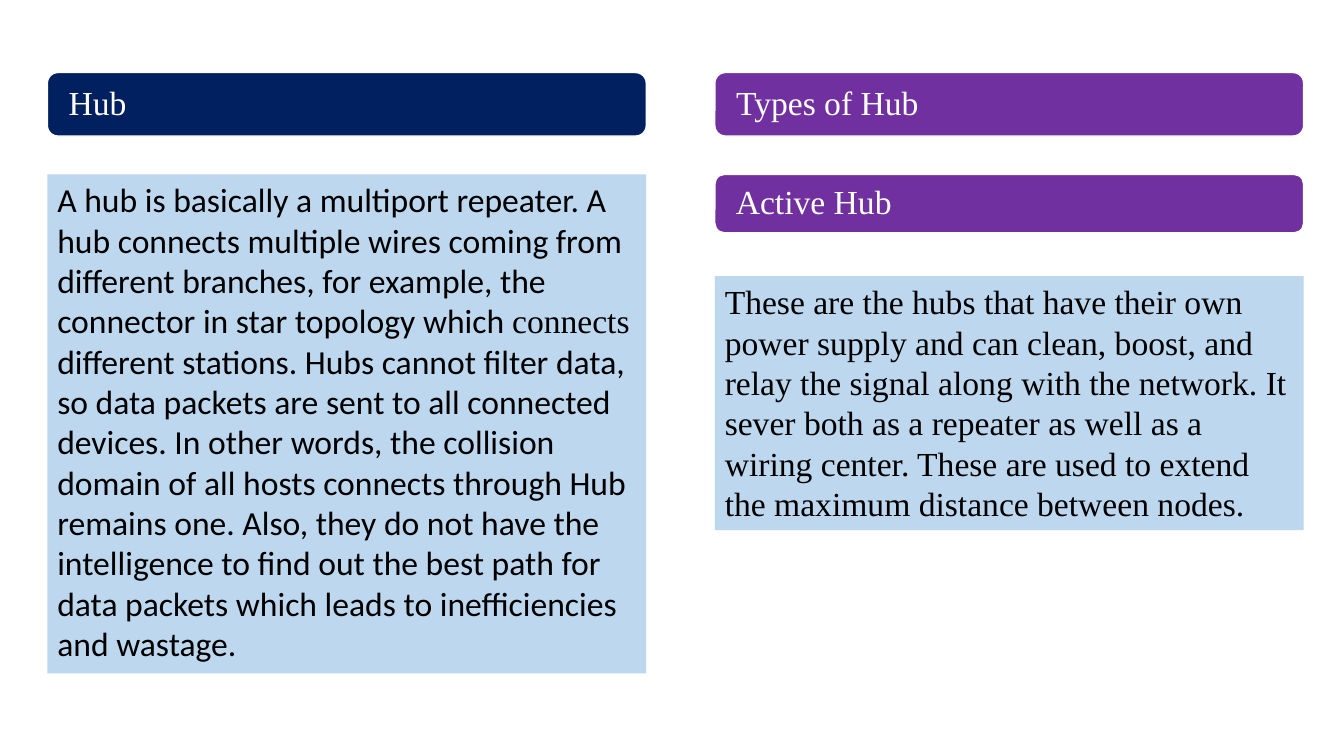
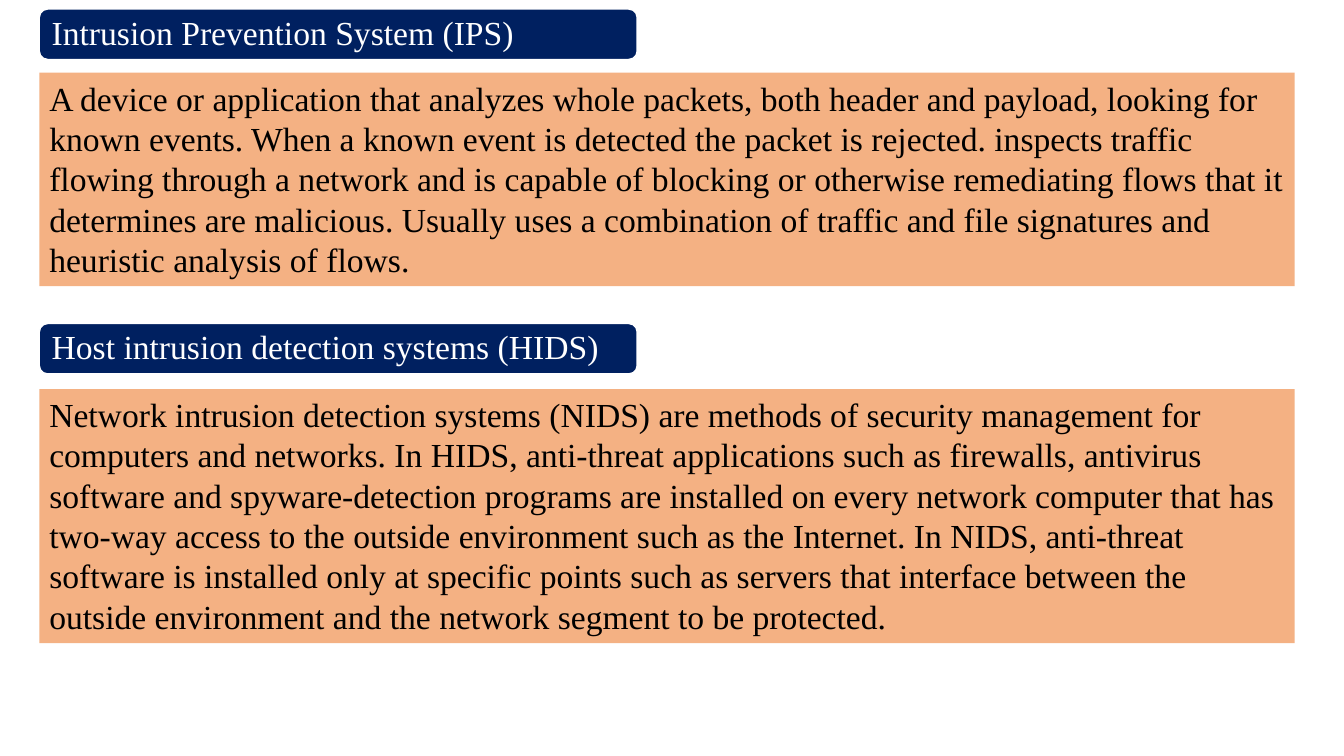
from dataclasses import dataclass

from pptx import Presentation
from pptx.dml.color import RGBColor
from pptx.enum.shapes import MSO_SHAPE
from pptx.enum.text import MSO_ANCHOR, MSO_AUTO_SIZE, PP_ALIGN
from pptx.util import Inches, Pt

# Shared style
NAVY, PURPLE, BLUE, ORANGE = "002060", "7030A0", "BDD7EE", "F4B183"
WHITE, BLACK = "FFFFFF", "000000"
SERIF, SANS = "Times New Roman", "Calibri"
TEXT_SIZE = Pt(24)
HEADING_FRAME = dict(word_wrap=True, vertical_anchor=MSO_ANCHOR.MIDDLE,
                     margin_top=0, margin_bottom=0)
BODY_FRAME = dict(word_wrap=True, vertical_anchor=MSO_ANCHOR.TOP,
                  auto_size=MSO_AUTO_SIZE.SHAPE_TO_FIT_TEXT)


@dataclass(frozen=True)
class Box:
    left: float
    top: float
    width: float
    height: float


@dataclass(frozen=True)
class Heading:
    box: Box
    text: str
    fill: str = NAVY
    indent: float = 0.1


@dataclass(frozen=True)
class Body:
    box: Box
    runs: tuple[tuple[str, str], ...]  # (text, font name)
    fill: str


def rgb(color: str) -> RGBColor:
    return RGBColor.from_string(color)


def add_block(s, kind, box: Box, fill: str):
    sp = s.shapes.add_shape(kind, Inches(box.left), Inches(box.top),
                            Inches(box.width), Inches(box.height))
    sp.shadow.inherit = False
    sp.fill.solid()
    sp.fill.fore_color.rgb = rgb(fill)
    return sp


def add_text(sp, runs, color: str, frame: dict):
    tf = sp.text_frame
    for name, value in frame.items():
        setattr(tf, name, value)
    p = tf.paragraphs[0]
    p.alignment = PP_ALIGN.LEFT
    for text, font in runs:
        r = p.add_run()
        r.text = text
        for name, value in dict(name=font, size=TEXT_SIZE).items():
            setattr(r.font, name, value)
        r.font.color.rgb = rgb(color)
    return p


def draw_heading(s, heading: Heading) -> None:
    sp = add_block(s, MSO_SHAPE.ROUNDED_RECTANGLE, heading.box, heading.fill)
    sp.line.color.rgb = rgb(WHITE)
    sp.line.width = Pt(1)
    frame = HEADING_FRAME | dict(margin_left=Inches(heading.indent))
    p = add_text(sp, [(heading.text, SERIF)], WHITE, frame)
    p.line_spacing = 0.9


def draw_body(s, body: Body) -> None:
    sp = add_block(s, MSO_SHAPE.RECTANGLE, body.box, body.fill)
    sp.line.fill.background()
    add_text(sp, body.runs, BLACK, BODY_FRAME)


# Slide 1: two columns
COL_1, COL_2 = (0.47, 5.94), (7.09, 5.84)  # left, width


def in_column(column: tuple[float, float], top: float, height: float) -> Box:
    left, width = column
    return Box(left, top, width, height)


HUB_SLIDE = [
    Heading(in_column(COL_1, 0.72, 0.63), "Hub", NAVY, 0.18),
    Body(in_column(COL_1, 1.73, 4.95), (
        ("A hub is basically a multiport repeater. A hub connects multiple "
         "wires coming from different branches, for example, the connector "
         "in star topology which ", SANS),
        ("connects", SERIF),
        (" different stations. Hubs cannot filter data, so data packets are "
         "sent to all connected devices. In other words, the collision domain "
         "of all hosts connects through Hub remains one. Also, they do not "
         "have the intelligence to find out the best path for data packets "
         "which leads to inefficiencies and wastage.", SANS),
    ), BLUE),
    Heading(in_column(COL_2, 0.72, 0.63), "Types of Hub", PURPLE, 0.18),
    Heading(in_column(COL_2, 1.73, 0.58), "Active Hub", PURPLE, 0.18),
    Body(in_column(COL_2, 2.74, 2.52), (
        ("These are the hubs that have their own power supply and can clean, "
         "boost, and relay the signal along with the network. It sever both "
         "as a repeater as well as a wiring center. These are used to extend "
         "the maximum distance between nodes.", SERIF),
    ), BLUE),
]

# Slide 2: headings over full-width text
LEFT = 0.39
INTRUSION_SLIDE = [
    Heading(Box(LEFT, 0.09, 5.93, 0.5), "Intrusion Prevention System (IPS)"),
    Body(Box(LEFT, 0.72, 12.45, 2.12), (
        ("A device or application that analyzes whole packets, both header "
         "and payload, looking for known events. When a known event is "
         "detected the packet is rejected. inspects traffic flowing through "
         "a network and is capable of blocking or otherwise remediating flows "
         "that it determines are malicious. Usually uses a combination of "
         "traffic and file signatures and heuristic analysis of flows.",
         SERIF),
    ), ORANGE),
    Heading(Box(LEFT, 3.21, 5.93, 0.5),
            "Host intrusion detection systems (HIDS)"),
    Body(Box(LEFT, 3.86, 12.45, 2.52), (
        ("Network intrusion detection systems (NIDS) are methods of security "
         "management for computers and networks. In HIDS, anti-threat "
         "applications such as firewalls, antivirus software and "
         "spyware-detection programs are installed on every network computer "
         "that has two-way access to the outside environment such as the "
         "Internet. In NIDS, anti-threat software is installed only at "
         "specific points such as servers that interface between the outside "
         "environment and the network segment to be protected.", SERIF),
    ), ORANGE),
]


def main() -> None:
    prs = Presentation()
    prs.slide_width, prs.slide_height = Inches(13.33), Inches(7.5)
    for parts in (HUB_SLIDE, INTRUSION_SLIDE):
        s = prs.slides.add_slide(prs.slide_layouts[6])
        for part in parts:
            draw = draw_heading if isinstance(part, Heading) else draw_body
            draw(s, part)
    prs.save("out.pptx")


if __name__ == "__main__":
    main()
